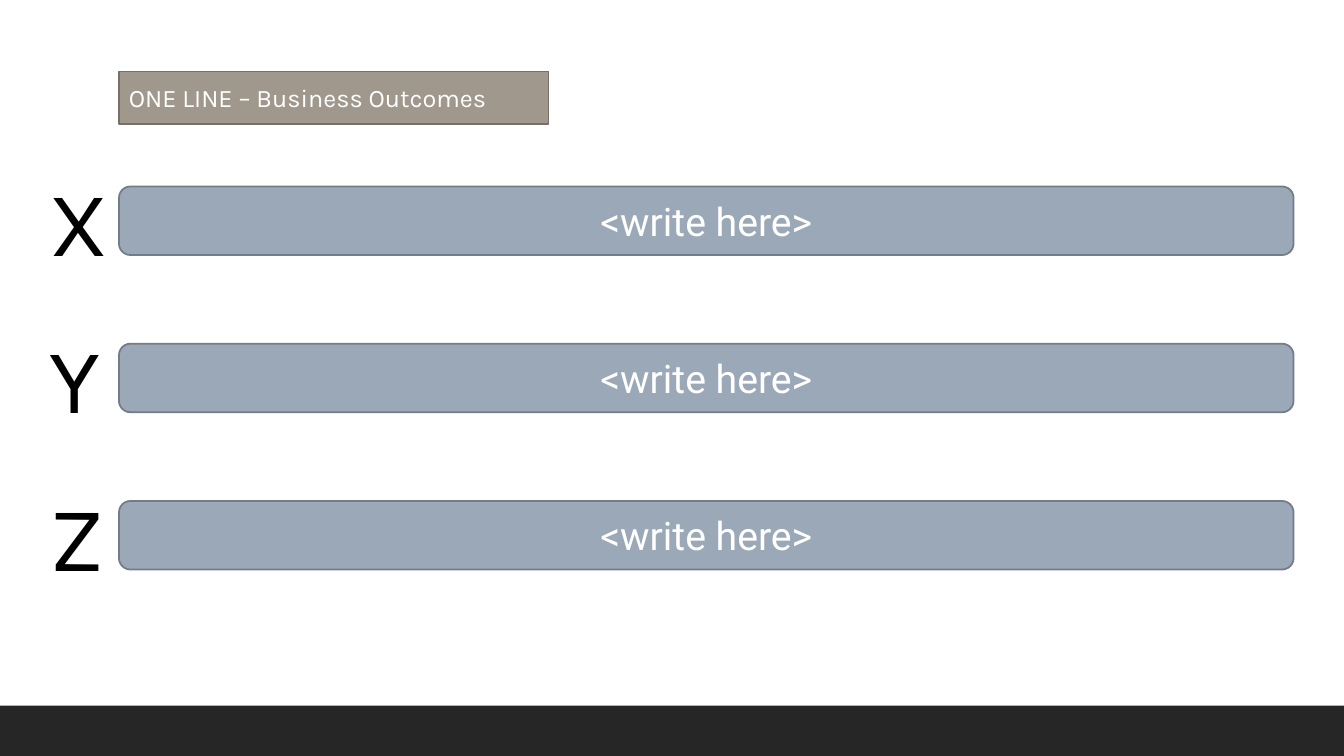
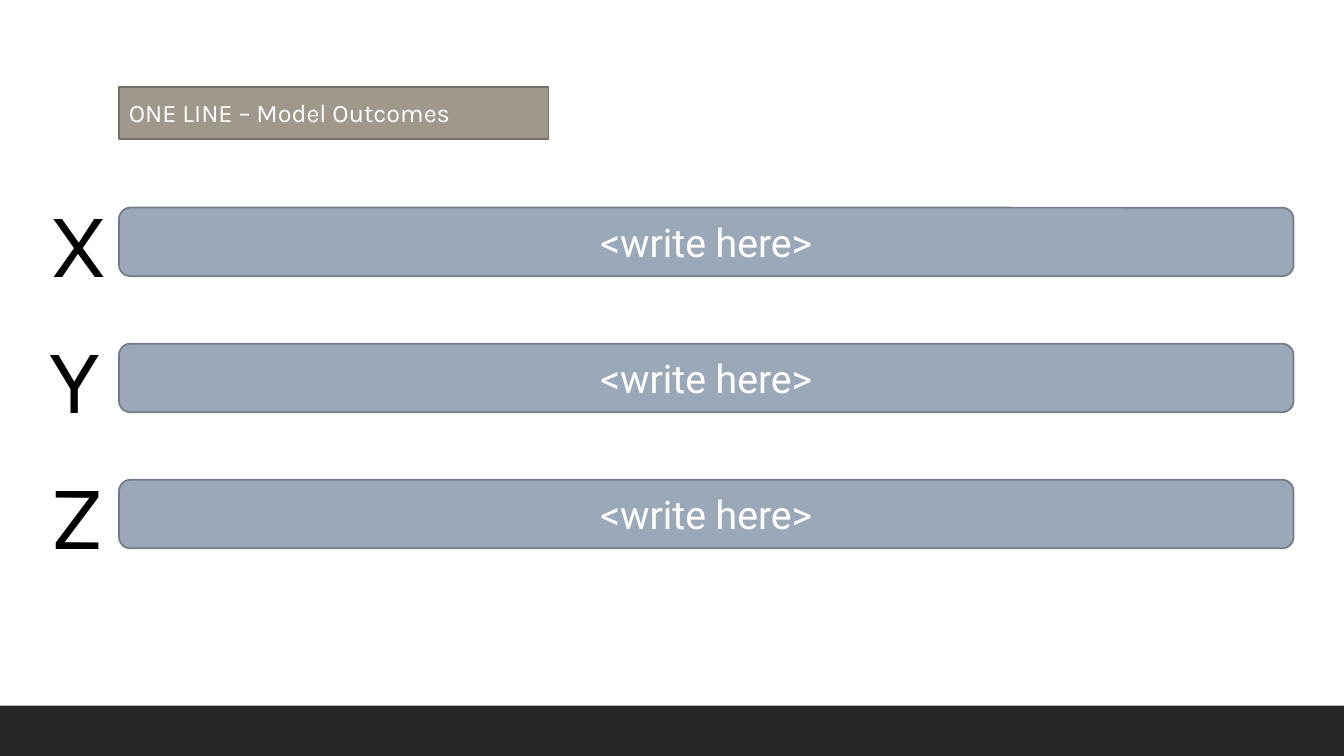
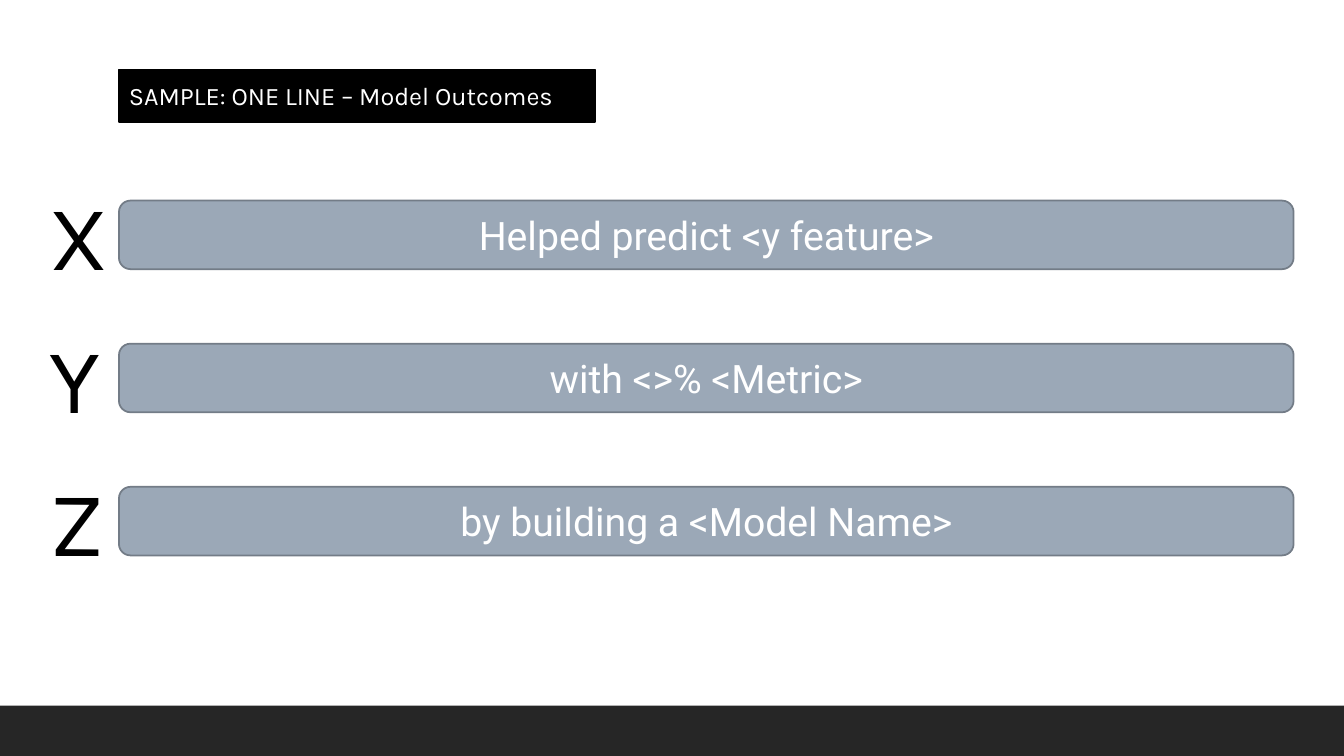
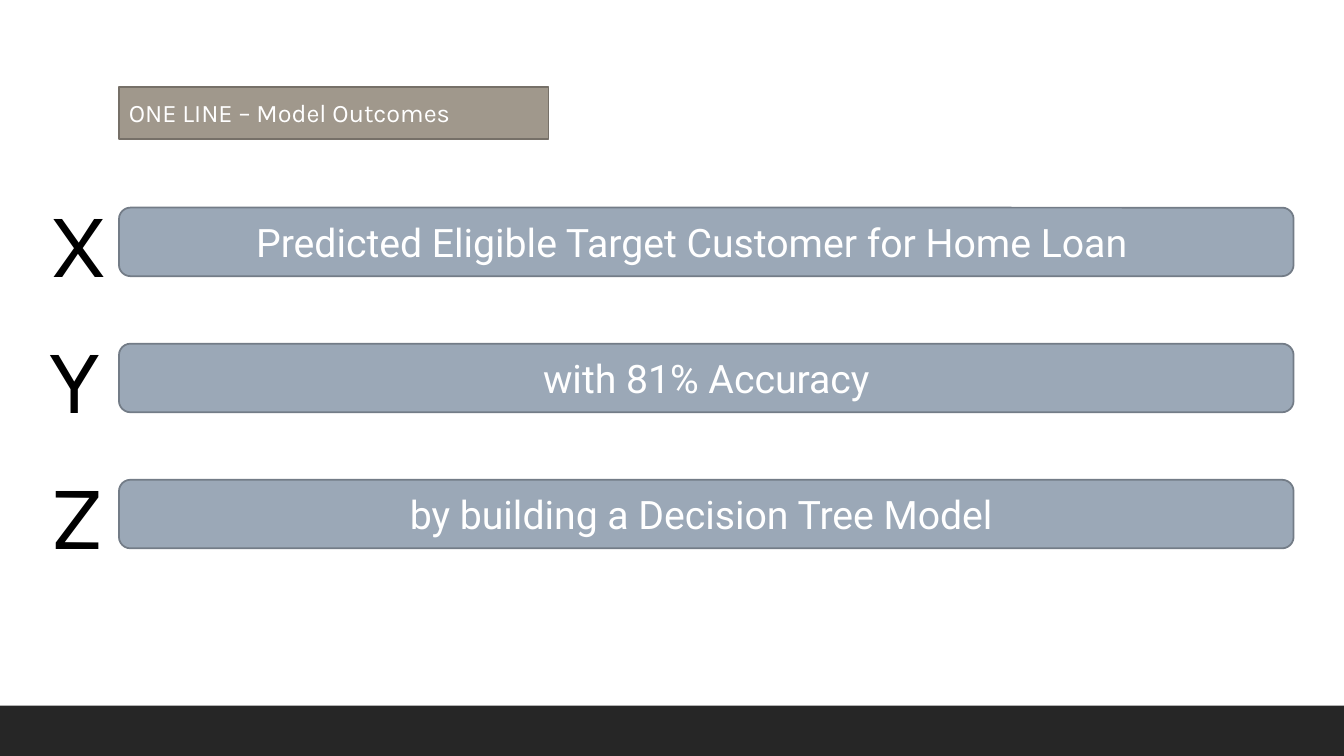
"""Build four one-line outcome slides, each with an X, Y and Z statement."""
from dataclasses import dataclass

from pptx import Presentation
from pptx.dml.color import RGBColor
from pptx.enum.shapes import MSO_SHAPE as Form
from pptx.enum.text import MSO_ANCHOR as Anchor, MSO_AUTO_SIZE as Fit, PP_ALIGN as Align
from pptx.shapes.autoshape import Shape
from pptx.slide import Slide
from pptx.text.text import TextFrame
from pptx.util import Inches, Pt

WIDE, HIGH = 13.33, 7.5
WHITE, BLACK, DARK = "FFFFFF", "000000", "262626"
TAUPE, UMBER = "A0988C", "767068"
STEEL, SLATE = "9BA8B7", "737C87"
HEAD, BODY = "Karla", "Roboto"
LEFT, MIDDLE, BAR = 1.18, 3.41, 0.68
RISE = 0.27


@dataclass(frozen=True)
class Box:
    left: float
    top: float
    width: float
    height: float


@dataclass(frozen=True)
class Style:
    font: str
    size: float
    color: str
    align: Align = Align.LEFT


@dataclass(frozen=True)
class Line:
    text: str
    inset: float = 0.1


@dataclass(frozen=True)
class Page:
    title: str
    top: float
    step: float
    lines: tuple[Line, ...]
    width: float = 4.26
    fill: str = TAUPE
    edge: str = UMBER


TITLE = Style(HEAD, 18, WHITE)
LETTER = Style(HEAD, 66, BLACK)
ENTRY = Style(BODY, 28, WHITE, Align.CENTER)

BLANKS = (Line("<write here>"),) * 3
PAGES = (
    Page("ONE LINE – Business Outcomes", 0.71, 1.56, BLANKS),
    Page("ONE LINE – Model Outcomes", 0.86, 1.35, BLANKS),
    Page(
        "SAMPLE: ONE LINE – Model Outcomes", 0.69, 1.42,
        (
            Line("Helped predict <y feature>"),
            Line("with <>% <Metric>"),
            Line("by building a <Model Name>"),
        ),
        width=4.72, fill=BLACK, edge=BLACK,
    ),
    Page(
        "ONE LINE – Model Outcomes", 0.86, 1.35,
        (
            Line("Predicted Eligible Target Customer for Home Loan", 0.39),
            Line("with 81% Accuracy"),
            Line("by building a Decision Tree Model", 0.2),
        ),
    ),
)


def tint(code: str) -> RGBColor:
    return RGBColor.from_string(code)


def place(box: Box) -> tuple[Inches, ...]:
    return tuple(Inches(n) for n in (box.left, box.top, box.width, box.height))


def write(frame: TextFrame, text: str, style: Style) -> None:
    para = frame.paragraphs[0]
    para.alignment = style.align
    run = para.add_run()
    run.text = text
    run.font.name = style.font
    run.font.size = Pt(style.size)
    run.font.color.rgb = tint(style.color)


def panel(slide: Slide, form: Form, box: Box, fill: str, edge: str = "") -> Shape:
    shape = slide.shapes.add_shape(form, *place(box))
    shape.shadow.inherit = False
    shape.fill.solid()
    shape.fill.fore_color.rgb = tint(fill)
    if edge:
        shape.line.color.rgb = tint(edge)
        shape.line.width = Pt(1.25)
    else:
        shape.line.fill.background()
    shape.text_frame.word_wrap = True
    shape.text_frame.vertical_anchor = Anchor.MIDDLE
    return shape


def letter(slide: Slide, text: str, top: float) -> None:
    frame = slide.shapes.add_textbox(*place(Box(0.39, top, 0.68, 1.21))).text_frame
    frame.word_wrap = False
    frame.auto_size = Fit.SHAPE_TO_FIT_TEXT
    write(frame, text, LETTER)


def entry(slide: Slide, line: Line, top: float) -> None:
    box = Box(LEFT, top, 11.65, BAR)
    frame = panel(slide, Form.ROUNDED_RECTANGLE, box, STEEL, SLATE).text_frame
    frame.margin_right = Inches(line.inset)
    write(frame, line.text, ENTRY)


def draw(slide: Slide, page: Page) -> None:
    panel(slide, Form.RECTANGLE, Box(0, 7, WIDE, 0.5), DARK)
    for row, (mark, line) in enumerate(zip("XYZ", page.lines), -1):
        top = MIDDLE + row * page.step
        letter(slide, mark, top - RISE)
        entry(slide, line, top)
    box = Box(LEFT, page.top, page.width, 0.52)
    label = panel(slide, Form.RECTANGLE, box, page.fill, page.edge)
    write(label.text_frame, page.title, TITLE)


def main() -> None:
    deck = Presentation()
    deck.slide_width, deck.slide_height = Inches(WIDE), Inches(HIGH)
    for page in PAGES:
        draw(deck.slides.add_slide(deck.slide_layouts[6]), page)
    deck.save("out.pptx")


main()
